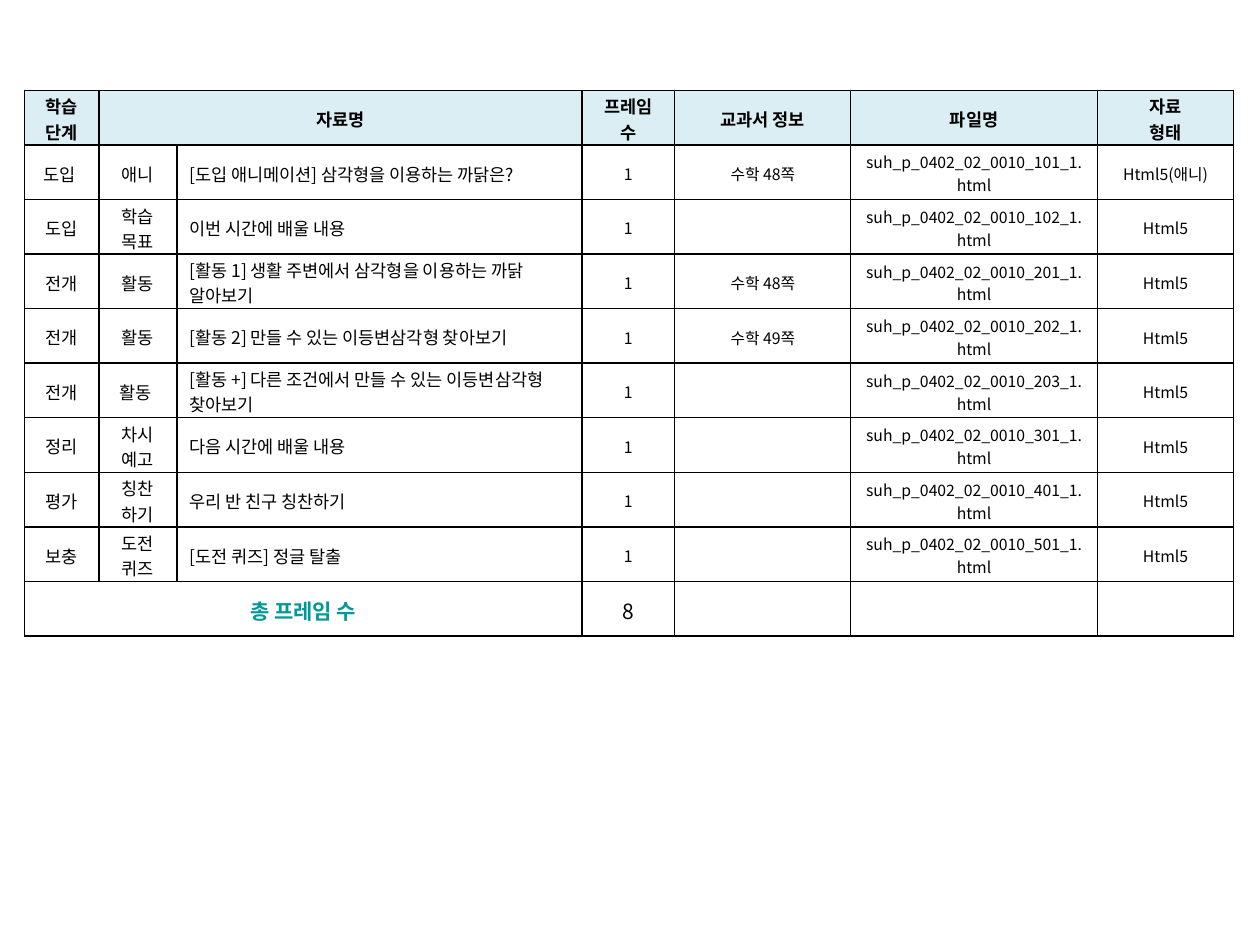
from dataclasses import dataclass

import lxml.etree
import pptx
import pptx.dml.color
import pptx.enum.text
import pptx.oxml.ns
import pptx.table
import pptx.util

Pt = pptx.util.Pt
RGBColor = pptx.dml.color.RGBColor
CENTER = pptx.enum.text.PP_ALIGN.CENTER
LEFT = pptx.enum.text.PP_ALIGN.LEFT
qn = pptx.oxml.ns.qn

FONT = "Noto Sans CJK KR"
BLACK = RGBColor(0x00, 0x00, 0x00)
TEAL = RGBColor(0x00, 0x99, 0x99)
HEADER_BLUE = RGBColor(0xDB, 0xEE, 0xF4)

COLUMN_WIDTHS = (42.5, 44.6, 231.4, 53.1, 100.6, 140.9, 77.9)
ROW_HEIGHT = 31.2
HEADERS = ("학습 단계", "자료명", "", "프레임 수", "교과서 정보", "파일명", "자료\n형태")


@dataclass(frozen=True)
class Material:
    stage: str
    kind: str
    title: str
    file_number: int
    textbook: str = ""
    file_type: str = "Html5"

    def cell_texts(self) -> tuple[str, ...]:
        file_name = f"suh_p_0402_02_0010_{self.file_number}_1.html"
        return (self.stage, self.kind, self.title, "1", self.textbook, file_name, self.file_type)


@dataclass(frozen=True)
class TextStyle:
    size: float
    bold: bool = False
    color: RGBColor = BLACK
    alignment: pptx.enum.text.PP_ALIGN = CENTER


HEADER_STYLE = TextStyle(10, bold=True)
LABEL_STYLE = TextStyle(10)
TITLE_STYLE = TextStyle(10, alignment=LEFT)
DETAIL_STYLE = TextStyle(9)
TOTAL_LABEL_STYLE = TextStyle(12, bold=True, color=TEAL)
TOTAL_STYLE = TextStyle(12)
MATERIAL_STYLES = (LABEL_STYLE, LABEL_STYLE, TITLE_STYLE) + (DETAIL_STYLE,) * 4

MATERIALS = (
    Material("도입 ", "애니", "[도입 애니메이션] 삼각형을 이용하는 까닭은?", 101, "수학 48쪽", "Html5(애니)"),
    Material("도입", "학습 목표", "이번 시간에 배울 내용", 102),
    Material("전개", "활동", "[활동 1] 생활 주변에서 삼각형을 이용하는 까닭 알아보기", 201, "수학 48쪽"),
    Material("전개", "활동", "[활동 2] 만들 수 있는 이등변삼각형 찾아보기", 202, "수학 49쪽"),
    Material("전개", "활동 ", "[활동 +] 다른 조건에서 만들 수 있는 이등변삼각형 찾아보기", 203),
    Material("정리", "차시 예고", "다음 시간에 배울 내용", 301),
    Material("평가", "칭찬\n하기", "우리 반 친구 칭찬하기", 401),
    Material("보충", "도전 퀴즈", "[도전 퀴즈] 정글 탈출", 501),
)


def add_borders(cell: pptx.table._Cell) -> None:
    properties = cell._tc.get_or_add_tcPr()
    for side in ("a:lnL", "a:lnR", "a:lnT", "a:lnB"):
        line = lxml.etree.SubElement(properties, qn(side), w=str(Pt(1)))
        fill = lxml.etree.SubElement(line, qn("a:solidFill"))
        lxml.etree.SubElement(fill, qn("a:srgbClr"), val=str(BLACK))


def prepare_cell(cell: pptx.table._Cell) -> None:
    """Give a cell its borders, clear fill and margins that fit two lines."""
    add_borders(cell)
    cell.fill.background()
    cell.vertical_anchor = pptx.enum.text.MSO_ANCHOR.MIDDLE
    cell.margin_left = cell.margin_right = Pt(7.2)
    cell.margin_top, cell.margin_bottom = Pt(1.8), Pt(0.2)


def write_cell(cell: pptx.table._Cell, text: str, style: TextStyle) -> None:
    cell.text_frame.text = text
    for paragraph in cell.text_frame.paragraphs:
        paragraph.alignment = style.alignment
        for run in paragraph.runs:
            run.font.size = Pt(style.size)
            run.font.bold = style.bold
            run.font.color.rgb = style.color
            run.font.name = FONT
            lxml.etree.SubElement(run.font._element, qn("a:ea"), typeface=FONT)


def add_material_table(slide: pptx.slide.Slide) -> None:
    row_count = len(MATERIALS) + 2
    table = slide.shapes.add_table(
        row_count, len(COLUMN_WIDTHS),
        Pt(14), Pt(51.6), Pt(sum(COLUMN_WIDTHS)), Pt(ROW_HEIGHT * row_count),
    ).table
    table.first_row = table.horz_banding = False
    for column, width in zip(table.columns, COLUMN_WIDTHS):
        column.width = Pt(width)
    for row in table.rows:
        row.height = Pt(ROW_HEIGHT)
        for cell in row.cells:
            prepare_cell(cell)

    total_row = row_count - 1
    table.cell(0, 1).merge(table.cell(0, 2))
    table.cell(total_row, 0).merge(table.cell(total_row, 2))

    for cell, text in zip(table.rows[0].cells, HEADERS):
        cell.fill.solid()
        cell.fill.fore_color.rgb = HEADER_BLUE
        write_cell(cell, text, HEADER_STYLE)
    for row_index, material in enumerate(MATERIALS, start=1):
        cells = table.rows[row_index].cells
        for cell, text, style in zip(cells, material.cell_texts(), MATERIAL_STYLES):
            write_cell(cell, text, style)
    write_cell(table.cell(total_row, 0), "총 프레임 수", TOTAL_LABEL_STYLE)
    write_cell(table.cell(total_row, 3), str(len(MATERIALS)), TOTAL_STYLE)


def main() -> None:
    presentation = pptx.Presentation()
    presentation.slide_width, presentation.slide_height = Pt(720), Pt(540)
    slide = presentation.slides.add_slide(presentation.slide_layouts[6])
    add_material_table(slide)
    presentation.save("out.pptx")


if __name__ == "__main__":
    main()
